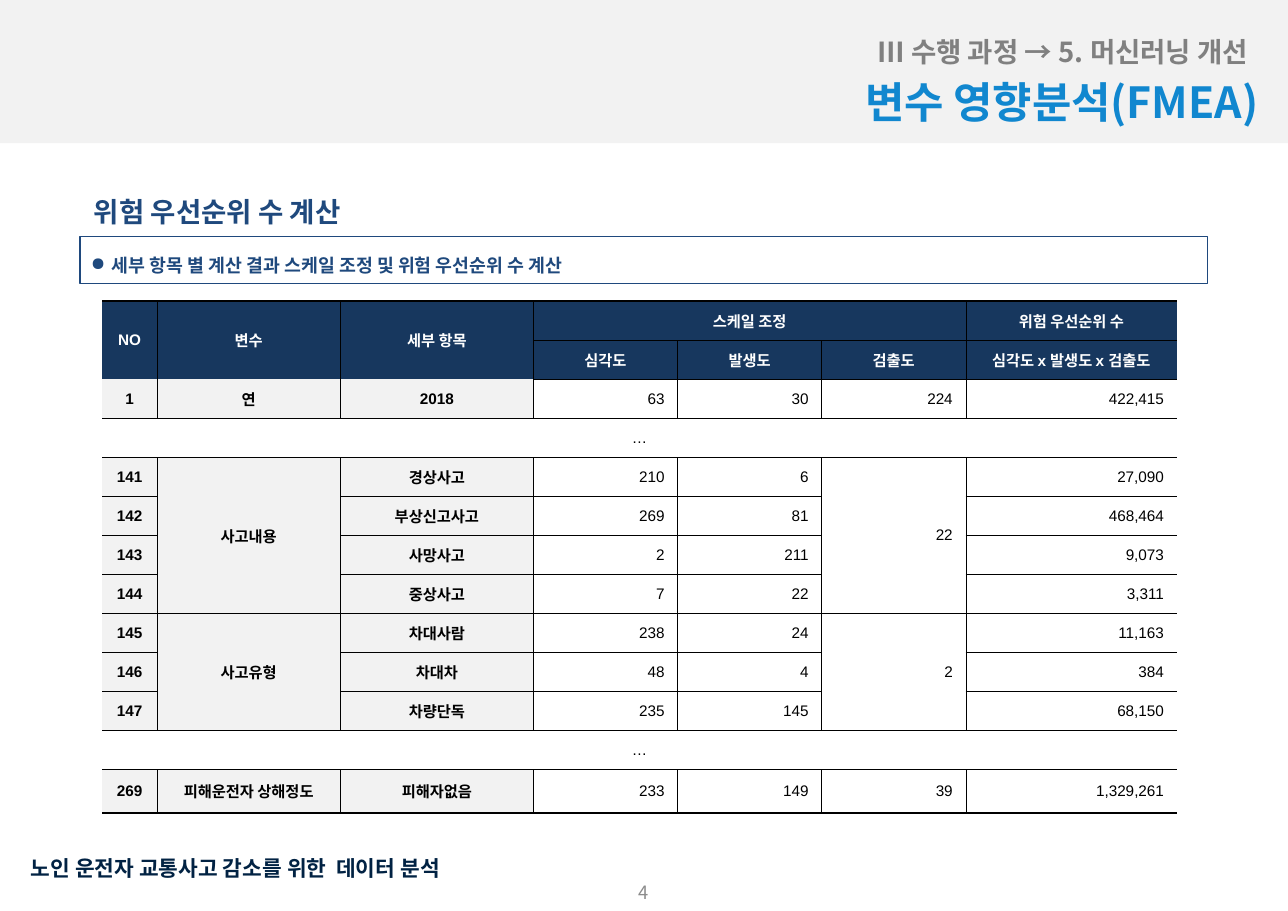
import dataclasses

import lxml.etree
import pptx
import pptx.dml.color
import pptx.enum.shapes
import pptx.enum.text
import pptx.oxml.ns
import pptx.util

ALIGN = pptx.enum.text.PP_ALIGN
ANCHOR = pptx.enum.text.MSO_ANCHOR
qn = pptx.oxml.ns.qn


@dataclasses.dataclass(frozen=True)
class Theme:
    korean: str = "Noto Sans CJK KR"
    latin: str = "Arial"
    white: str = "FFFFFF"
    black: str = "000000"
    pale: str = "F2F2F2"
    navy: str = "17375E"
    heading: str = "1F497D"
    title: str = "1187CF"
    breadcrumb: str = "808080"
    footer: str = "012243"
    page: str = "8C8C8C"
    title_size: int = 28
    heading_size: int = 18
    footer_size: int = 14
    body_size: int = 12
    cell_size: int = 10
    thin: float = 0.25
    outline: float = 0.75
    thick: float = 1.5


class SlideBuilder:
    EMU_PER_PX = 914400 / 110

    def __init__(self, slide, theme):
        self.slide = slide
        self.theme = theme

    @classmethod
    def px(cls, length):
        return pptx.util.Emu(round(length * cls.EMU_PER_PX))

    def place(self, box):
        return [self.px(length) for length in box]

    def color(self, value):
        return pptx.dml.color.RGBColor.from_string(value)

    def add_text(self, paragraph, text, size, color, bold=True, font=None, align=ALIGN.LEFT):
        paragraph.alignment = align
        run = paragraph.add_run()
        run.text = text
        run.font.size = pptx.util.Pt(size)
        run.font.bold = bold
        run.font.color.rgb = self.color(color)
        run.font.name = font or self.theme.korean
        east_asian = lxml.etree.SubElement(run._r.get_or_add_rPr(), qn("a:ea"))
        east_asian.set("typeface", self.theme.korean)

    def text(self, box, text, size, color, anchor=ANCHOR.MIDDLE, grow=False, **style):
        frame = self.slide.shapes.add_textbox(*self.place(box)).text_frame
        frame.word_wrap = True
        frame.vertical_anchor = anchor
        if grow:
            frame.auto_size = pptx.enum.text.MSO_AUTO_SIZE.SHAPE_TO_FIT_TEXT
        self.add_text(frame.paragraphs[0], text, size, color, **style)

    def rectangle(self, box, fill=None, line=None):
        shape = self.slide.shapes.add_shape(
            pptx.enum.shapes.MSO_SHAPE.RECTANGLE, *self.place(box))
        shape.shadow.inherit = False
        if fill:
            shape.fill.solid()
            shape.fill.fore_color.rgb = self.color(fill)
        else:
            shape.fill.background()
        if line:
            shape.line.color.rgb = self.color(line)
            shape.line.width = pptx.util.Pt(self.theme.outline)
        else:
            shape.line.fill.background()
        return shape

    def bullet_box(self, box, text, size, color, inset=13, indent=21):
        frame = self.rectangle(box, line=color).text_frame
        frame.word_wrap = True
        frame.vertical_anchor = ANCHOR.MIDDLE
        frame.margin_top = frame.margin_bottom = self.px(inset)
        paragraph = frame.paragraphs[0]
        paragraph.line_spacing = 1.5
        properties = paragraph._p.get_or_add_pPr()
        properties.set("marL", str(self.px(indent)))
        properties.set("indent", str(-self.px(indent)))
        lxml.etree.SubElement(properties, qn("a:buChar")).set("char", "●")
        self.add_text(paragraph, text, size, color)

    def borders(self, cell, widths):
        """Widths are in the order left, right, top, bottom; 0 hides the edge."""
        properties = cell._tc.get_or_add_tcPr()
        for side, width in zip("LRTB", widths):
            edge = lxml.etree.SubElement(properties, qn(f"a:ln{side}"))
            if width:
                edge.set("w", str(pptx.util.Pt(width)))
                fill = lxml.etree.SubElement(edge, qn("a:solidFill"))
                lxml.etree.SubElement(fill, qn("a:srgbClr")).set("val", self.theme.black)
            else:
                lxml.etree.SubElement(edge, qn("a:noFill"))

    def cell_style(self, row, column, text):
        theme = self.theme
        if row < HEADER_ROWS:
            return theme.navy, theme.white, True, ALIGN.CENTER
        if text == "…":
            return theme.white, theme.black, False, ALIGN.CENTER
        if column < LABEL_COLUMNS:
            return theme.pale, theme.black, True, ALIGN.CENTER
        return theme.white, theme.black, False, ALIGN.RIGHT

    def table(self, left, top, widths, heights, rows, number_inset=13):
        theme = self.theme
        box = (left, top, sum(widths), sum(heights))
        table = self.slide.shapes.add_table(
            len(rows), len(widths), *self.place(box)).table
        table.first_row = table.horz_banding = False
        for column, width in zip(table.columns, widths):
            column.width = self.px(width)
        for table_row, height in zip(table.rows, heights):
            table_row.height = self.px(height)

        for r, row in enumerate(rows):
            for c, text in enumerate(row):
                if text in (ABOVE, BEFORE):
                    continue
                # Extent of the cell, as far as its merge marks reach
                bottom, right = r, c
                while bottom + 1 < len(rows) and rows[bottom + 1][c] == ABOVE:
                    bottom += 1
                while right + 1 < len(row) and row[right + 1] == BEFORE:
                    right += 1
                fill, color, bold, align = self.cell_style(r, c, text)
                for y in range(r, bottom + 1):
                    for x in range(c, right + 1):
                        part = table.cell(y, x)
                        self.borders(part, (
                            theme.thin if x == c > 0 else 0,
                            theme.thin if x == right < len(row) - 1 else 0,
                            (theme.thin if r else theme.thick) if y == r else 0,
                            (theme.thin if y < len(rows) - 1 else theme.thick)
                            if y == bottom else 0))
                        part.fill.solid()
                        part.fill.fore_color.rgb = self.color(fill)
                cell = table.cell(r, c)
                if (bottom, right) != (r, c):
                    cell.merge(table.cell(bottom, right))
                cell.vertical_anchor = ANCHOR.MIDDLE
                cell.margin_left = cell.margin_top = cell.margin_bottom = 0
                cell.margin_right = self.px(number_inset if align == ALIGN.RIGHT else 0)
                self.add_text(cell.text_frame.paragraphs[0], text, theme.cell_size,
                              color, bold, theme.latin, align)


# Table content: merge marks join a cell to the one above or before it
ABOVE, BEFORE = "^", "<"
HEADER_ROWS, LABEL_COLUMNS = 2, 3
SKIPPED = ["…"] + [BEFORE] * 6
RISK_ROWS = [
    ["NO", "변수", "세부 항목", "스케일 조정", BEFORE, BEFORE, "위험 우선순위 수"],
    [ABOVE, ABOVE, ABOVE, "심각도", "발생도", "검출도", "심각도 x 발생도 x 검출도"],
    ["1", "연", "2018", "63", "30", "224", "422,415"],
    SKIPPED,
    ["141", "사고내용", "경상사고", "210", "6", "22", "27,090"],
    ["142", ABOVE, "부상신고사고", "269", "81", ABOVE, "468,464"],
    ["143", ABOVE, "사망사고", "2", "211", ABOVE, "9,073"],
    ["144", ABOVE, "중상사고", "7", "22", ABOVE, "3,311"],
    ["145", "사고유형", "차대사람", "238", "24", "2", "11,163"],
    ["146", ABOVE, "차대차", "48", "4", ABOVE, "384"],
    ["147", ABOVE, "차량단독", "235", "145", ABOVE, "68,150"],
    SKIPPED,
    ["269", "피해운전자 상해정도", "피해자없음", "233", "149", "39", "1,329,261"],
]


def main():
    theme = Theme()
    deck = pptx.Presentation()
    deck.slide_width = SlideBuilder.px(1287)
    deck.slide_height = SlideBuilder.px(910)
    page = SlideBuilder(deck.slides.add_slide(deck.slide_layouts[6]), theme)

    # Footer and header band
    page.text((20, 849, 971, 37), "노인 운전자 교통사고 감소를 위한  데이터 분석",
              theme.footer_size, theme.footer, grow=True)
    page.rectangle((0, 0, 1287, 143), fill=theme.pale)
    page.text((515, 869, 256, 44), "4", theme.body_size, theme.page,
              bold=False, align=ALIGN.CENTER)

    # Risk priority table
    page.table(102, 301, [55, 183, 193, 144, 144, 144, 211],
               [39] * 12 + [43], RISK_ROWS)

    # Section heading and summary
    page.text((83, 189, 1124, 95), "위험 우선순위 수 계산",
              theme.heading_size, theme.heading, anchor=ANCHOR.TOP)
    page.bullet_box((80, 236, 1127, 47),
                    "세부 항목 별 계산 결과 스케일 조정 및 위험 우선순위 수 계산",
                    theme.body_size, theme.heading)

    # Title and breadcrumb
    page.text((415, 70, 853, 63), "변수 영향분석(FMEA)", theme.title_size,
              theme.title, grow=True, align=ALIGN.RIGHT)
    page.text((287, 29, 971, 44), "Ⅲ 수행 과정 → 5. 머신러닝 개선",
              theme.heading_size, theme.breadcrumb, grow=True, align=ALIGN.RIGHT)

    deck.save("out.pptx")


if __name__ == "__main__":
    main()
